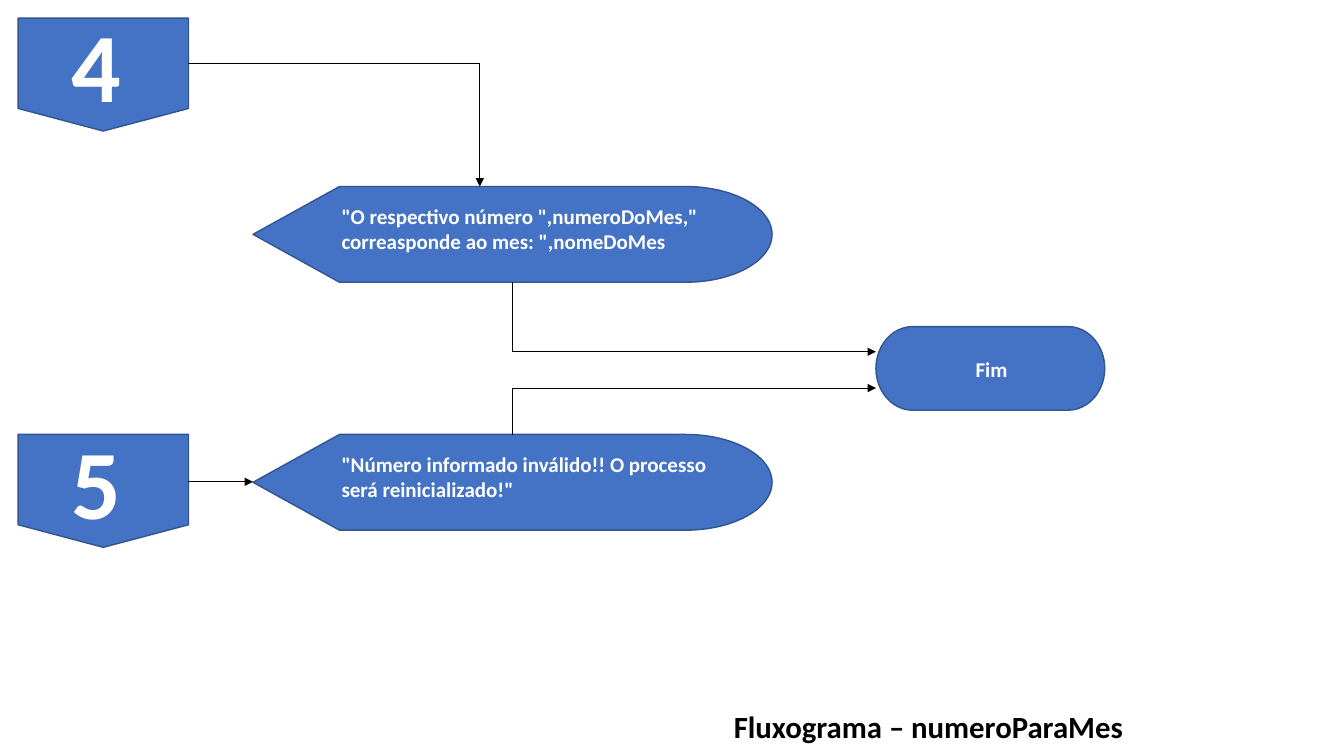
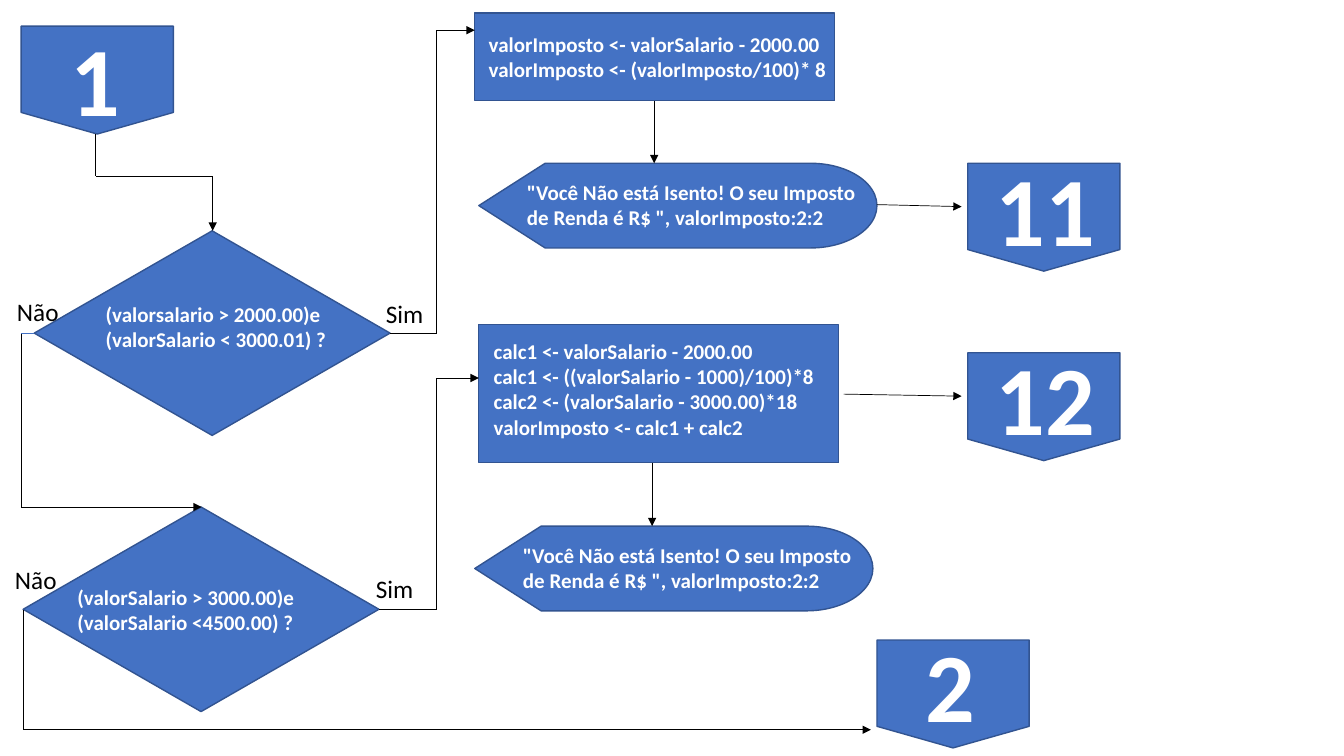
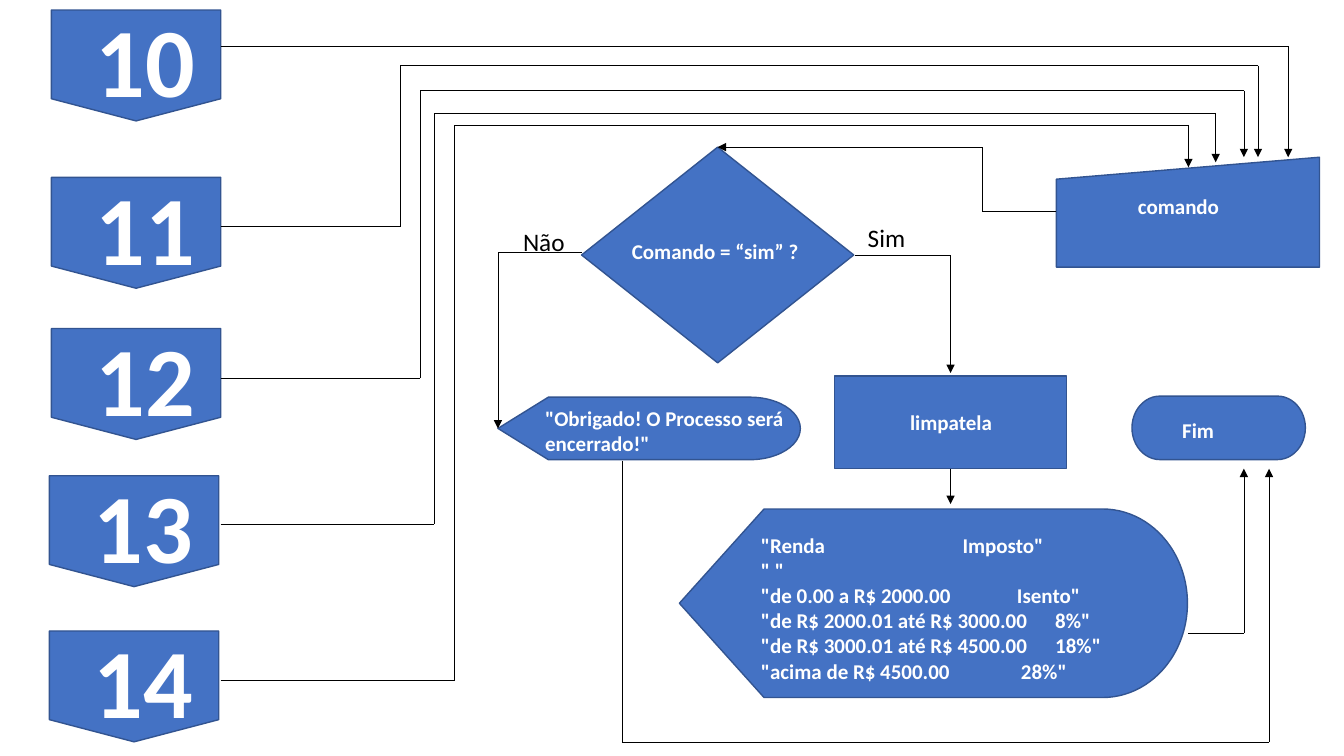
from itertools import pairwise

from lxml import etree
from pptx import Presentation
from pptx import util as u
from pptx.dml.color import RGBColor
from pptx.enum import shapes, text
from pptx.oxml.ns import qn

CELL = u.Inches(0.1)
COLUMNS, ROWS = 133.33, 75
FONT = "Calibri"
BLUE, EDGE, WHITE, BLACK = "4472C4", "325491", "FFFFFF", "000000"
FLOW = shapes.MSO_SHAPE
TITLE_ONLY, BLANK = 5, 6


def cells(*counts):
    return [u.Emu(round(count * CELL)) for count in counts]


def paint(target, colour):
    target.rgb = RGBColor.from_string(colour)


def write(frame, lines, size, colour, bold, tabs=()):
    frame.word_wrap = True
    frame.vertical_anchor = text.MSO_ANCHOR.TOP
    frame.auto_size = text.MSO_AUTO_SIZE.SHAPE_TO_FIT_TEXT
    for index, line in enumerate(lines):
        paragraph = frame.paragraphs[0] if index == 0 else frame.add_paragraph()
        paragraph.alignment = text.PP_ALIGN.LEFT
        run = paragraph.add_run()
        run.text = line
        run.font.name = FONT
        run.font.size = u.Pt(size)
        run.font.bold = bold
        paint(run.font.color, colour)
        if tabs and tabs[index]:
            stops = etree.SubElement(paragraph._p.get_or_add_pPr(), qn("a:tabLst"))
            position = cells(tabs[index])[0]
            etree.SubElement(stops, qn("a:tab"), pos=str(int(position)), algn="l")


def caption(slide, area, lines, size=15, colour=WHITE, bold=True, tabs=()):
    box = slide.shapes.add_textbox(*cells(*area))
    write(box.text_frame, lines, size, colour, bold, tabs)


def symbol(slide, kind, area):
    step = slide.shapes.add_shape(kind, *cells(*area))
    step.shadow.inherit = False
    step.fill.solid()
    paint(step.fill.fore_color, BLUE)
    paint(step.line.color, EDGE)
    step.line.width = u.Pt(1)


def node(slide, kind, area, words_area, *lines, tabs=()):
    symbol(slide, kind, area)
    caption(slide, words_area, lines, tabs=tabs)


def badge(slide, number, area, indent, rise):
    symbol(slide, FLOW.FLOWCHART_OFFPAGE_CONNECTOR, area)
    left, top = area[:2]
    caption(slide, (left + indent, top - rise, 15.5, 12.8), [number], size=70)


def answer(slide, word, left, top):
    caption(slide, (left, top, 15.1, 4), [word], 18, BLACK, False)


def route(slide, *points, arrow=True, colour=BLACK):
    legs = list(pairwise(points))
    for index, (start, end) in enumerate(legs):
        leg = slide.shapes.add_connector(
            shapes.MSO_CONNECTOR.STRAIGHT, *cells(*start, *end))
        paint(leg.line.color, colour)
        leg.line.width = u.Pt(0.5)
        properties = leg._element.spPr
        if arrow and index == len(legs) - 1:
            etree.SubElement(properties.find(qn("a:ln")), qn("a:tailEnd"), type="triangle")
        etree.SubElement(properties, qn("a:effectLst"))


def month_flow(slide):
    title = slide.shapes.title
    title.left, title.top, title.width, title.height = cells(71.8, 69.7, 59.1, 4.7)
    write(title.text_frame, ["Fluxograma – numeroParaMes"], 22, BLACK, True)

    messages = [
        ("4", 1.8, 18.5,
         '"O respectivo número ",numeroDoMes," correasponde ao mes: ",nomeDoMes'),
        ("5", 43.1, 43.1,
         '"Número informado inválido!! O processo será reinicializado!"'),
    ]
    for number, badge_top, top, message in messages:
        badge(slide, number, (1.8, badge_top, 16.9, 11.2), 4.3, 1.8)
        node(slide, FLOW.FLOWCHART_DISPLAY, (25.1, top, 51.5, 9.5),
             (32.9, top + 1.2, 41.4, 6.1), message)
    node(slide, FLOW.FLOWCHART_TERMINATOR, (86.9, 32.4, 22.7, 8.3),
         (95.8, 34.9, 13.9, 3.5), "Fim")

    route(slide, (18.7, 6.3), (47.6, 6.3), (47.6, 18.5))
    route(slide, (18.7, 47.8), (25.1, 47.8))
    route(slide, (50.8, 28), (50.8, 34.9), (86.9, 34.9))
    route(slide, (50.8, 43.2), (50.8, 38.5), (86.9, 38.5))


def tax_flow(slide):
    node(slide, FLOW.DIAMOND, (3.4, 22.9, 35.3, 20.3), (9.5, 29.4, 28.1, 6.1),
         "(valorsalario > 2000.00)e (valorSalario < 3000.01) ?")
    node(slide, FLOW.DIAMOND, (2.3, 50.3, 35.3, 20.3), (6.7, 57.5, 29.5, 6.1),
         "(valorSalario > 3000.00)e", "(valorSalario <4500.00) ?")
    node(slide, FLOW.FLOWCHART_PROCESS, (47.1, 1.3, 35.7, 8.7), (47.5, 2.6, 35.7, 6.1),
         "valorImposto <- valorSalario - 2000.00",
         "valorImposto <- (valorImposto/100)* 8")
    node(slide, FLOW.FLOWCHART_PROCESS, (47.5, 32.2, 35.7, 13.7), (48, 33.1, 39.6, 11.1),
         "calc1 <- valorSalario - 2000.00",
         "calc1 <- ((valorSalario - 1000)/100)*8",
         "calc2 <- (valorSalario - 3000.00)*18",
         "valorImposto <- calc1 + calc2")
    for left, top in [(47.5, 16.2), (47.1, 52.2)]:
        node(slide, FLOW.FLOWCHART_DISPLAY, (left, top, 39.5, 8.4),
             (left + 3.8, top + 1.1, 35.7, 6.1),
             '"Você Não está Isento! O seu Imposto de Renda é R$ ", valorImposto:2:2')
    for number, left, top, indent, rise in [
            ("1", 2.1, 2.6, 3.9, 1.3), ("11", 96, 16.2, 1.8, 2),
            ("12", 96, 35, 1.8, 2), ("2", 87, 63.5, 3.8, 2)]:
        badge(slide, number, (left, top, 15.1, 10.7), indent, rise)

    route(slide, (9.5, 13.3), (9.5, 17.5), (21.1, 17.5), (21.1, 22.9))
    route(slide, (38.7, 33.1), (43.3, 33.1), (43.3, 3), (47.1, 3))
    route(slide, (37.6, 60.5), (43.3, 60.5), (43.3, 37.5), (47.5, 37.5))
    route(slide, (3.4, 33.1), (2.1, 33.1), arrow=False, colour=BLUE)
    route(slide, (2.1, 33.1), (2.1, 50.3), (20, 50.3))
    route(slide, (2.3, 60.5), (2.3, 72.4), (86.4, 72.4))
    route(slide, (64.9, 10), (64.9, 16.2))
    route(slide, (64.7, 45.9), (64.7, 52.2))
    route(slide, (87, 20.3), (95.4, 20.5))
    route(slide, (83.7, 39.1), (95.4, 39.3))

    for word, left, top in [("Sim", 37.3, 29.1), ("Sim", 36.3, 56.4),
                            ("Não", 0.7, 28.9), ("Não", 0.5, 55.5)]:
        answer(slide, word, left, top)


def closing_flow(slide):
    node(slide, FLOW.FLOWCHART_DISPLAY, (67.4, 50.5, 50.4, 18.7), (74.5, 52.3, 58.8, 16.2),
         '"Renda\tImposto"',
         '" "',
         '"de 0.00 a R$ 2000.00\tIsento"',
         '"de R$ 2000.01 até R$ 3000.00\t8%"',
         '"de R$ 3000.01 até R$ 4500.00\t18%"',
         '"acima de R$ 4500.00\t28%"',
         tabs=(20, None, 25.4, 29.2, 29.2, 25.8))
    node(slide, FLOW.FLOWCHART_MANUAL_INPUT, (104.8, 15.6, 26.1, 10.9),
         (111.9, 18.7, 28, 3.5), "comando")
    node(slide, FLOW.DIAMOND, (57.7, 14.6, 27, 21.4),
         (61.7, 23.2, 28, 3.5), "Comando = “sim” ?")
    node(slide, FLOW.FLOWCHART_PROCESS, (82.8, 37.3, 23, 9.2),
         (89.3, 40.1, 15.5, 3.5), "limpatela")
    node(slide, FLOW.FLOWCHART_DISPLAY, (49.4, 39.4, 30, 6.2),
         (53.1, 39.7, 28, 6.1), '"Obrigado! O Processo será encerrado!"')
    node(slide, FLOW.FLOWCHART_TERMINATOR, (112.3, 39.3, 17.2, 6.3),
         (116.3, 40.9, 11.5, 3.5), "Fim")
    for number, left, top in [("10", 5.1, 1), ("11", 5.1, 17.6), ("12", 5.1, 32.6),
                              ("13", 4.9, 47.2), ("14", 4.9, 62.6)]:
        badge(slide, number, (left, top, 16.8, 11), 3.4, 1.5)

    exit_column = 21.9
    route(slide, (exit_column, 4.6), (127.8, 4.6), (127.8, 15.6))
    for exit_row, turn, lane, entry, tip in [
            (22.5, 39.7, 6.5, 124.8, 15.6), (37.5, 41.7, 9, 123.4, 15.6),
            (52, 43.1, 11.2, 120.6, 16.1), (67.5, 45.1, 12.4, 117.9, 16.6)]:
        route(slide, (exit_column, exit_row), (turn, exit_row), (turn, lane),
              (entry, lane), (entry, tip))
    route(slide, (104.8, 21), (97.5, 21), (97.5, 14.6), (71.2, 14.6))
    route(slide, (84.8, 25.3), (94.3, 25.3), (94.3, 37))
    route(slide, (57.7, 25), (49.4, 25), (49.4, 42.5))
    route(slide, (94.3, 46.5), (94.3, 50))
    route(slide, (117.9, 62.8), (123.4, 62.8), (123.4, 46.5))
    route(slide, (61.7, 45.7), (61.7, 73.6), (125.9, 73.6), (125.9, 46.5))

    answer(slide, "Não", 50.9, 22)
    answer(slide, "Sim", 85.1, 21.6)


def main():
    deck = Presentation()
    deck.slide_width, deck.slide_height = cells(COLUMNS, ROWS)
    for layout, draw in [(TITLE_ONLY, month_flow), (BLANK, tax_flow), (BLANK, closing_flow)]:
        draw(deck.slides.add_slide(deck.slide_layouts[layout]))
    deck.save("out.pptx")


main()
